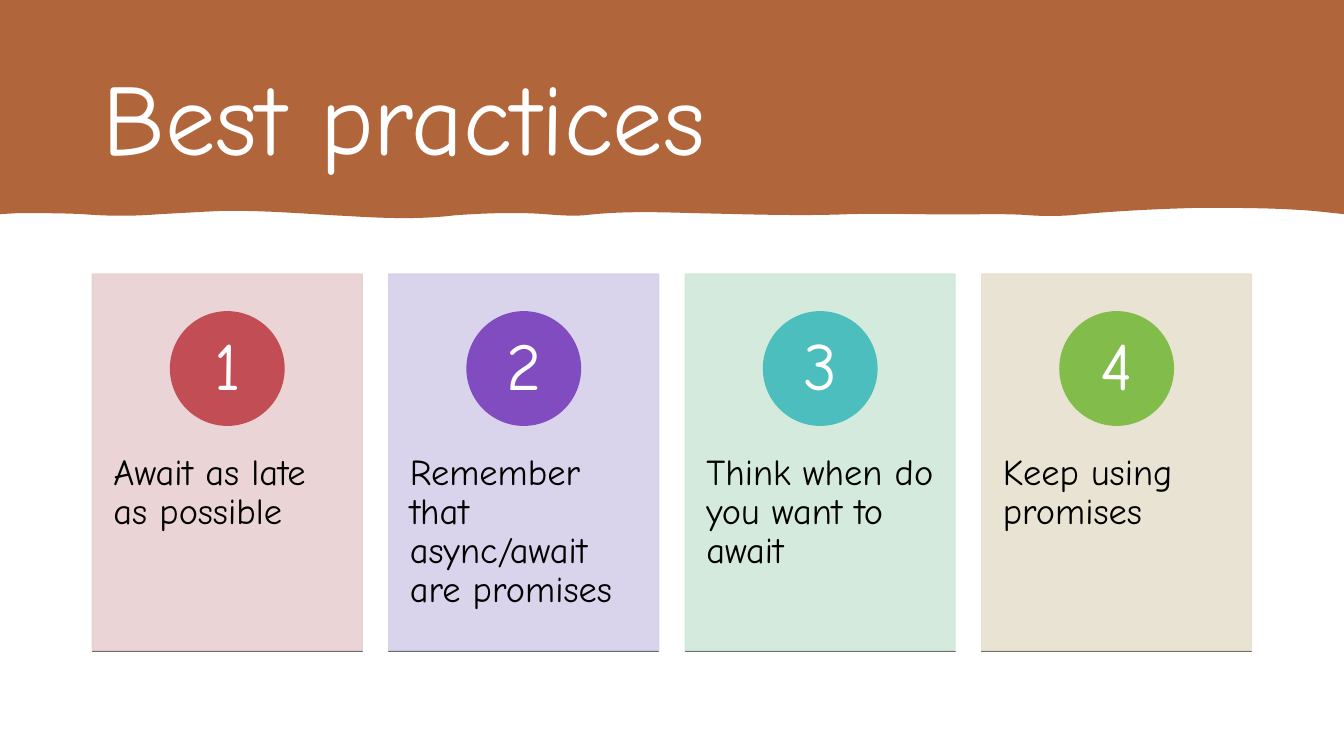
from pptx import Presentation
from pptx import util as u
from pptx.dml.color import RGBColor
from pptx.enum import shapes, text
from pptx.oxml.ns import qn
from lxml import etree

PX = 9525
WIDTH, HEIGHT = 1280, 720
FONT = "Comic Neue"
COLORS = {"paper": "FFFFFF", "banner": "B1653B", "ink": "000000", "edge": "6E6E6E"}
CARDS = [
    ("Await as late as possible",
     {"panel": "E9D0D1", "badge": "C34D54", "rule": "C24CAA"}),
    ("Remember that async/await are promises",
     {"panel": "D5D0E9", "badge": "824CC1", "rule": "4B6BC0"}),
    ("Think when do you want to await",
     {"panel": "D0E8DA", "badge": "4BBEBD", "rule": "4ABD67"}),
    ("Keep using promises",
     {"panel": "E7E0CF", "badge": "82BC4A", "rule": "BBA149"}),
]
# Lower edge of the banner, right to left: two controls and an end per curve
BANNER_CORNERS = [(WIDTH, 0), (WIDTH, 204), (1252, 201)]
WAVE = [
    ((1215, 198), (1179, 198), (1142, 198)),
    ((1102, 199), (1061, 201), (1020, 205)),
    ((1007, 206), (994, 206), (980, 205)),
    ((967, 204), (952, 204), (938, 204)),
    ((896, 205), (852, 203), (809, 204)),
    ((759, 206), (709, 204), (660, 203)),
    ((625, 202), (591, 201), (557, 205)),
    ((544, 206), (532, 205), (519, 204)),
    ((492, 202), (463, 203), (434, 205)),
    ((401, 209), (369, 208), (335, 206)),
    ((293, 204), (251, 200), (208, 201)),
    ((189, 202), (171, 203), (152, 204)),
    ((128, 206), (103, 206), (79, 204)),
    ((59, 203), (38, 203), (17, 203)),
]


def emu(*lengths):
    return [u.Emu(round(length * PX)) for length in lengths]


def paint(shape, color, edge=None, weight=1, opacity=100):
    shape.shadow.inherit = False
    shape.fill.solid()
    shape.fill.fore_color.rgb = RGBColor.from_string(color)
    if edge:
        shape.line.width = u.Pt(weight)
        shape.line.color.rgb = RGBColor.from_string(edge)
    else:
        shape.line.fill.background()
    if opacity < 100:
        for tint in shape._element.spPr.iter(qn("a:srgbClr")):
            etree.SubElement(tint, qn("a:alpha"), val=str(opacity * 1000))


def add_block(page, kind, box, color, **style):
    paint(page.shapes.add_shape(kind, *emu(*box)), color, **style)


def add_words(page, box, words, size, color, insets, frame_format, para_format):
    frame = page.shapes.add_textbox(*emu(*box)).text_frame
    across, down = emu(*insets)
    margins = {"margin_left": across, "margin_right": across,
               "margin_top": down, "margin_bottom": down}
    for name, value in {"word_wrap": True, **margins, **frame_format}.items():
        setattr(frame, name, value)
    para = frame.paragraphs[0]
    for name, value in para_format.items():
        setattr(para, name, value)
    span = para.add_run()
    span.text = words
    for name, value in {"size": u.Pt(size), "name": FONT}.items():
        setattr(span.font, name, value)
    span.font.color.rgb = RGBColor.from_string(color)


def bend(shape, first, count):
    """Turn each three straight segments, from the first on, into one curve."""
    segments = list(shape._element.iter(qn("a:lnTo")))
    for index in range(first, first + 3 * count, 3):
        curve = etree.Element(qn("a:cubicBezTo"))
        segments[index].addprevious(curve)
        for segment in segments[index:index + 3]:
            curve.append(segment[0])
            segment.getparent().remove(segment)


def add_banner(page, title_box, title):
    points = BANNER_CORNERS + [point for curve in WAVE for point in curve] + [(0, 204)]
    builder = page.shapes.build_freeform(0, 0, scale=PX)
    builder.add_line_segments(points, close=True)
    banner = builder.convert_to_shape()
    bend(banner, len(BANNER_CORNERS), len(WAVE))
    paint(banner, COLORS["banner"])
    add_words(page, title_box, title, 72, COLORS["paper"], (10, 5),
              {"vertical_anchor": text.MSO_ANCHOR.MIDDLE}, {})


def add_card(page, box, number, advice, colors):
    left, top, width, height = box
    badge, inner = 108, 76
    badge_left, badge_top = left + (width - badge) / 2, top + 36
    gap = (badge - inner) / 2
    kinds = shapes.MSO_SHAPE
    add_block(page, kinds.RECTANGLE, box, colors["panel"], edge=colors["panel"], opacity=90)
    add_words(page, (left, top + 136, width + 2, 216), advice, 26, COLORS["ink"],
              (20, 35), {}, {"line_spacing": 0.9})
    add_block(page, kinds.OVAL, (badge_left, badge_top, badge, badge), colors["badge"],
              edge=colors["badge"])
    add_words(page, (badge_left + gap, badge_top + gap, inner, inner), str(number), 48,
              COLORS["paper"], (9, 1), {"vertical_anchor": text.MSO_ANCHOR.MIDDLE},
              {"line_spacing": 0.9, "alignment": text.PP_ALIGN.CENTER})
    add_block(page, kinds.RECTANGLE, (left, top + height, width, 0), colors["rule"],
              edge=COLORS["edge"], weight=0.5)


def add_cards(page, box):
    left, top, width, height = box
    card_width = 257
    pitch = (width - card_width) / (len(CARDS) - 1)
    for index, (advice, colors) in enumerate(CARDS):
        card_box = (left + index * pitch, top, card_width, height)
        add_card(page, card_box, index + 1, advice, colors)


def main():
    deck = Presentation()
    deck.slide_width, deck.slide_height = emu(WIDTH, HEIGHT)
    page = deck.slides.add_slide(deck.slide_layouts[6])
    add_block(page, shapes.MSO_SHAPE.RECTANGLE, (0, 0, WIDTH, HEIGHT), COLORS["paper"])
    add_banner(page, (88, 40, 1104, 139), "Best practices")
    add_cards(page, (88, 261, 1104, 359))
    deck.save("out.pptx")


if __name__ == "__main__":
    main()
